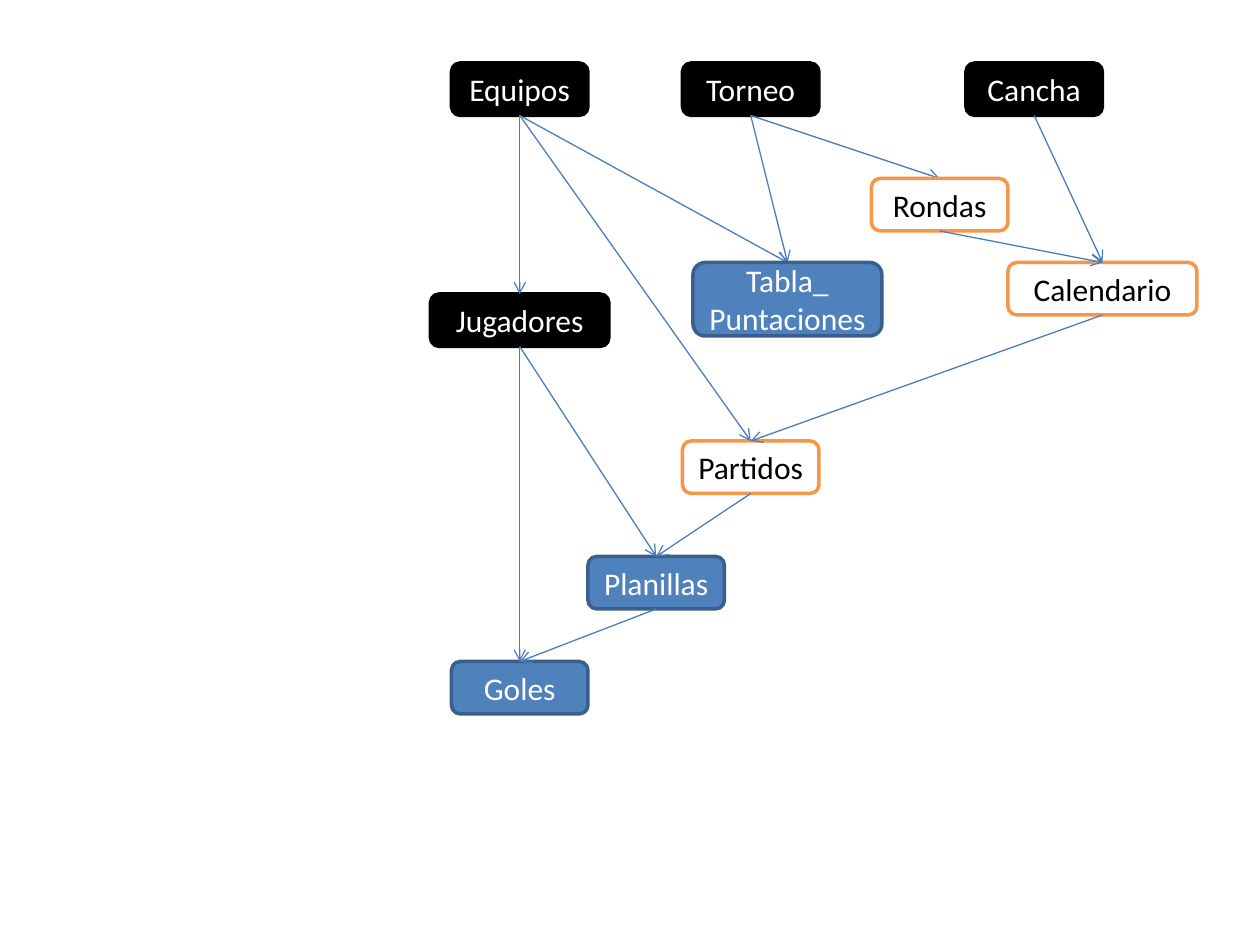
"""Builds a slide with the dependency diagram of a football tournament's tables."""
from lxml import etree
from pptx import Presentation
from pptx import util as u
from pptx.dml.color import RGBColor
from pptx.enum import shapes, text
from pptx.oxml.ns import qn

COLOURS = {"black": "000000", "white": "FFFFFF", "orange": "F79646",
           "blue": "4F81BD", "navy": "3A5F8C", "arrow": "4B7EBC"}
STYLES = {
    "master": {"fill": "black", "line": "black", "colour": "white"},
    "schedule": {"fill": "white", "line": "orange", "colour": "black"},
    "result": {"fill": "blue", "line": "navy", "colour": "white"},
}
CELL = u.Inches(1) // 12
TOP, BOTTOM = 0, 2
SCORES = "Tabla_\nPuntaciones"

# name: (style, column, row, columns wide, rows high)
TABLES = {
    "Torneo": ("master", 65, 6, 13, 5),
    "Cancha": ("master", 92, 6, 13, 5),
    "Equipos": ("master", 43, 6, 13, 5),
    "Rondas": ("schedule", 83, 17, 13, 5),
    "Calendario": ("schedule", 96, 25, 18, 5),
    SCORES: ("result", 66, 25, 18, 7),
    "Partidos": ("schedule", 65, 42, 13, 5),
    "Jugadores": ("master", 41, 28, 17, 5),
    "Planillas": ("result", 56, 53, 13, 5),
    "Goles": ("result", 43, 63, 13, 5),
}
DEPENDENTS = {
    "Torneo": ["Rondas", SCORES],
    "Cancha": ["Calendario"],
    "Equipos": [SCORES, "Partidos", "Jugadores"],
    "Rondas": ["Calendario"],
    "Calendario": ["Partidos"],
    "Jugadores": ["Planillas", "Goles"],
    "Partidos": ["Planillas"],
    "Planillas": ["Goles"],
}
OVER_ARROWS = {"Rondas", SCORES}


def rgb(name):
    return RGBColor.from_string(COLOURS[name])


def write(shape, content, colour="black", size=18, font="Calibri"):
    frame = shape.text_frame
    frame.text = content
    frame.word_wrap = True
    frame.vertical_anchor = text.MSO_ANCHOR.MIDDLE
    for paragraph in frame.paragraphs:
        paragraph.alignment = text.PP_ALIGN.CENTER
        paragraph.font.size = u.Pt(size)
        paragraph.font.name = font
        paragraph.font.color.rgb = rgb(colour)


def add_box(slide, name, style, *cells):
    box = slide.shapes.add_shape(shapes.MSO_SHAPE.ROUNDED_RECTANGLE,
                                 *(CELL * cell for cell in cells))
    box.shadow.inherit = False
    box.fill.solid()
    box.fill.fore_color.rgb = rgb(style["fill"])
    box.line.color.rgb = rgb(style["line"])
    box.line.width = u.Pt(2)
    write(box, name, colour=style["colour"])
    return box


def add_arrow(slide, source, target, behind=False):
    arrow = slide.shapes.add_connector(
        shapes.MSO_CONNECTOR.STRAIGHT,
        source.left + source.width // 2, source.top + source.height,
        target.left + target.width // 2, target.top)
    arrow.begin_connect(source, BOTTOM)
    arrow.end_connect(target, TOP)
    arrow.line.color.rgb = rgb("arrow")
    arrow.line.width = u.Pt(0.75)
    etree.SubElement(arrow.line._get_or_add_ln(), qn("a:tailEnd"), type="arrow")
    etree.SubElement(arrow._element.spPr, qn("a:effectLst"))
    if behind:
        target._element.addprevious(arrow._element)


presentation = Presentation()
presentation.slide_width, presentation.slide_height = u.Inches(10), u.Inches(7.5)
slide = presentation.slides.add_slide(presentation.slide_layouts[6])
boxes = {name: add_box(slide, name, STYLES[style], *cells)
         for name, (style, *cells) in TABLES.items()}
for source, targets in DEPENDENTS.items():
    for target in targets:
        add_arrow(slide, boxes[source], boxes[target], behind=target in OVER_ARROWS)
presentation.save("out.pptx")
